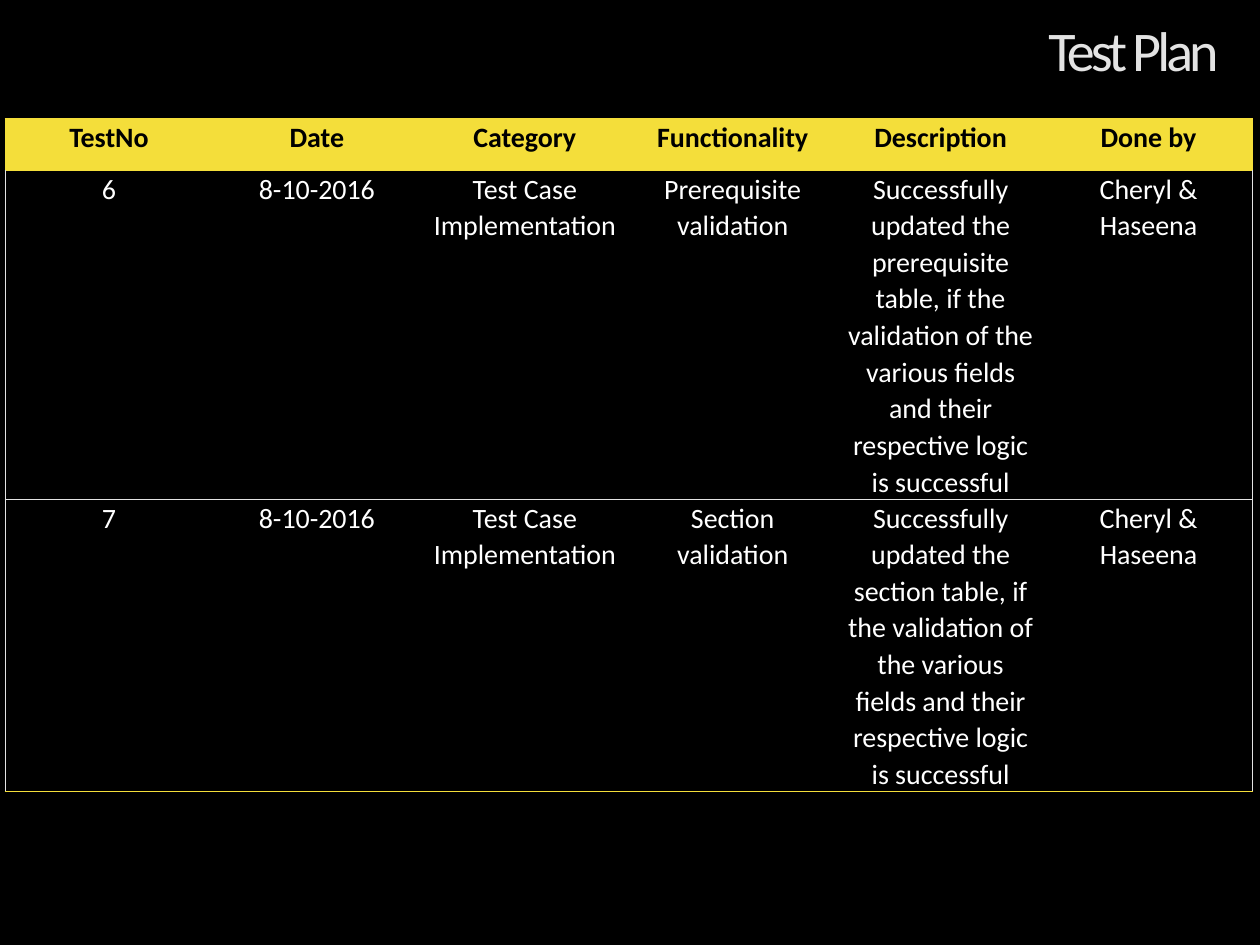
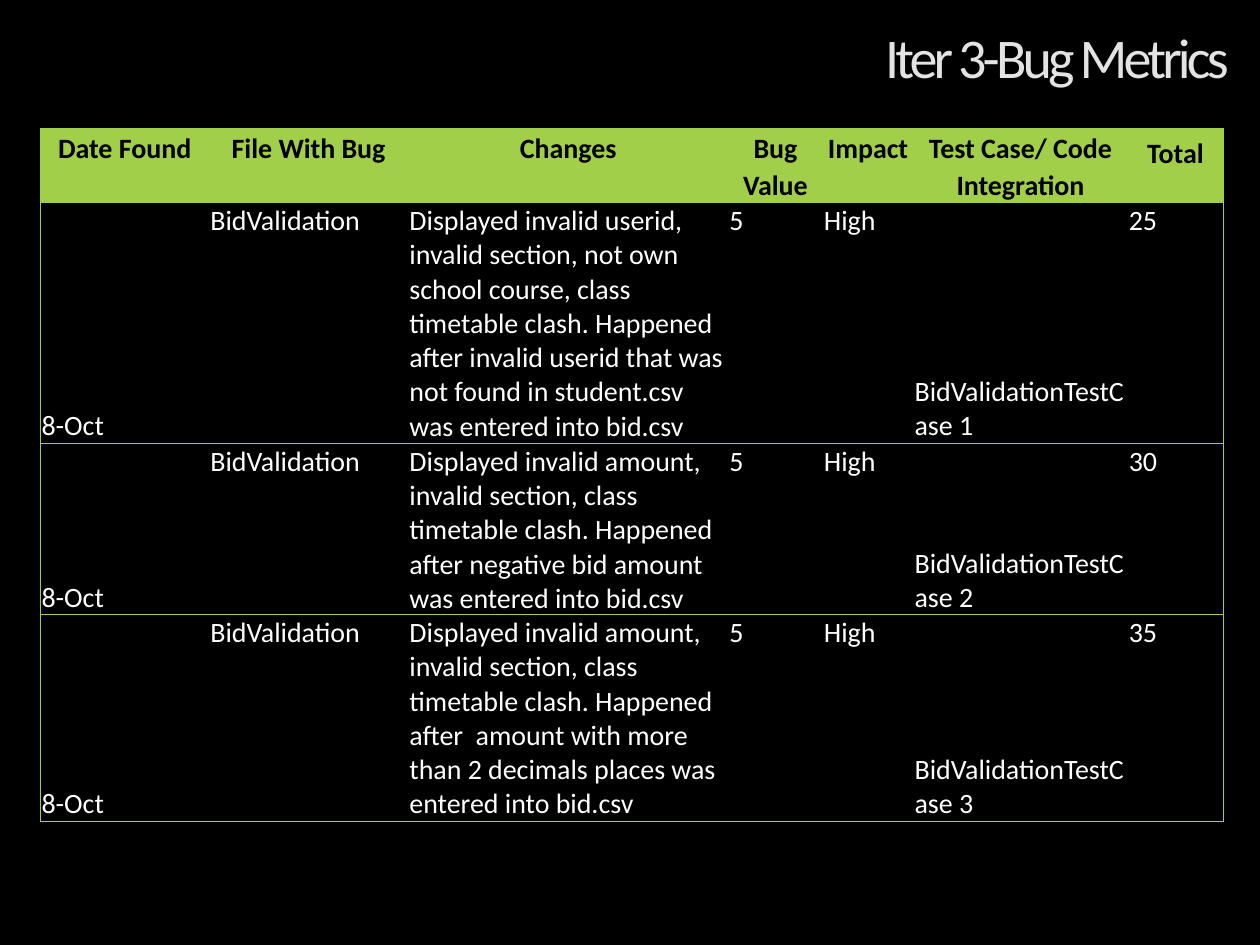
"""Builds the test plan and bug metrics slides."""
from dataclasses import dataclass

from lxml import etree
from pptx import Presentation
from pptx.dml.color import RGBColor
from pptx.enum import text
from pptx.oxml import ns
from pptx.util import Inches, Pt

BLACK = RGBColor(0x00, 0x00, 0x00)
WHITE = RGBColor(0xFF, 0xFF, 0xFF)
SILVER = RGBColor(0xE3, 0xE3, 0xE3)
YELLOW = RGBColor(0xF4, 0xDE, 0x3A)
GREEN = RGBColor(0xA2, 0xCF, 0x49)
FONT = "Calibri"
PLAIN_STYLE = "{2D5ABB26-0587-4C30-8999-92F81FD0307C}"
LEFT, CENTER, RIGHT = text.PP_ALIGN.LEFT, text.PP_ALIGN.CENTER, text.PP_ALIGN.RIGHT
TOP, BOTTOM = text.MSO_ANCHOR.TOP, text.MSO_ANCHOR.BOTTOM


@dataclass(frozen=True)
class Report:
    """One slide: a title above a ruled table."""
    title: str
    title_at: tuple[float, float]
    table_at: tuple[float, float]
    columns: list[float]
    heights: list[float]
    rows: list[tuple[str, ...]]
    accent: RGBColor
    rule: RGBColor
    insets: tuple[float, float, float, float]
    body_align: text.PP_ALIGN
    body_spacing: float
    bottom_columns: tuple[int, ...] = ()
    roomy_header: int | None = None


def successful(subject: str) -> str:
    """Describe a successful validation of one table."""
    return (f"Successfully updated the {subject} table, if the validation of the "
            "various fields and their respective logic is successful")


def test_row(number: int, subject: str) -> tuple[str, ...]:
    """Give one line of the test plan."""
    return (str(number), "8-10-2016", "Test Case Implementation",
            f"{subject} validation", successful(subject.lower()), "Cheryl & Haseena")


def bug_row(case: int, changes: str, total: int) -> tuple[str, ...]:
    """Give one line of the bug metrics."""
    return ("8-Oct", "BidValidation", f"Displayed invalid {changes} was entered into bid.csv",
            "5", "High", f"BidValidationTestCase {case}", str(total))


REPORTS = [
    Report(
        title="Test Plan", title_at=(1.15, -0.3), table_at=(0.04, 0.94),
        columns=[1.65] * 6, heights=[0.41, 2.61, 2.32],
        rows=[
            ("TestNo", "Date", "Category", "Functionality", "Description", "Done by"),
            test_row(6, "Prerequisite"),
            test_row(7, "Section"),
        ],
        accent=YELLOW, rule=SILVER, insets=(0.07, 0, 0.07, 0),
        body_align=CENTER, body_spacing=1.07,
    ),
    Report(
        title="Iter 3-Bug Metrics", title_at=(1.23, -0.25), table_at=(0.32, 1.02),
        columns=[1.34, 1.58, 2.54, 0.75, 0.72, 1.7, 0.76],
        heights=[0.59, 1.91, 1.36, 1.64],
        rows=[
            ("Date Found", "File With Bug", "Changes", "Bug Value", "Impact",
             "Test Case/ Code Integration", "Total"),
            bug_row(1, "userid, invalid section, not own school course, class timetable "
                       "clash. Happened after invalid userid that was not found in "
                       "student.csv", 25),
            bug_row(2, "amount, invalid section, class timetable clash. Happened after "
                       "negative bid amount", 30),
            bug_row(3, "amount, invalid section, class timetable clash. Happened after  "
                       "amount with more than 2 decimals places", 35),
        ],
        accent=GREEN, rule=GREEN, insets=(0.01, 0.01, 0.01, 0),
        body_align=LEFT, body_spacing=1.0, bottom_columns=(0, 2, 5), roomy_header=6,
    ),
]


def write(frame, words: str, size: float, color: RGBColor, align, spacing: float,
          bold: bool = False):
    """Write one paragraph with a single run and return the run."""
    paragraph = frame.paragraphs[0]
    paragraph.alignment = align
    paragraph.line_spacing = spacing
    run = paragraph.add_run()
    run.text = words
    run.font.name, run.font.size, run.font.bold = FONT, Pt(size), bold
    run.font.color.rgb = color
    return run


def add_title(slide, report: Report) -> None:
    """Add the right-aligned, tightly spaced title."""
    left, top = report.title_at
    frame = slide.shapes.add_textbox(
        Inches(left), Inches(top), Inches(8.62), Inches(1.45)).text_frame
    frame.word_wrap = True
    frame.vertical_anchor = text.MSO_ANCHOR.MIDDLE
    run = write(frame, report.title, 32, SILVER, RIGHT, 0.9)
    run.font._element.set("spc", "-220")


def add_border(cell, side: str, color: RGBColor) -> None:
    """Rule one side of a cell."""
    properties = cell._tc.get_or_add_tcPr()
    line = etree.SubElement(properties, ns.qn(f"a:ln{side}"), w=str(Pt(0.5)))
    fill = etree.SubElement(line, ns.qn("a:solidFill"))
    etree.SubElement(fill, ns.qn("a:srgbClr"), val=str(color))


def rule_cell(cell, report: Report, row: int, column: int) -> None:
    """Rule the outer frame and the lines between rows."""
    last = len(report.rows) - 1
    side_color = report.rule if row else report.accent
    if column == 0:
        add_border(cell, "L", side_color)
    if column == len(report.columns) - 1:
        add_border(cell, "R", side_color)
    add_border(cell, "T", report.accent if row <= 1 else report.rule)
    add_border(cell, "B", report.accent if row in (0, last) else report.rule)


def fill_cell(cell, report: Report, row: int, column: int) -> None:
    """Style one cell and write its words."""
    header = row == 0
    if not (header and column == report.roomy_header):
        (cell.margin_left, cell.margin_top,
         cell.margin_right, cell.margin_bottom) = map(Inches, report.insets)
    sunk = not header and column in report.bottom_columns
    cell.vertical_anchor = BOTTOM if sunk else TOP
    rule_cell(cell, report, row, column)
    if header:
        cell.fill.solid()
        cell.fill.fore_color.rgb = report.accent
    else:
        cell.fill.background()
    write(cell.text_frame, report.rows[row][column], 16,
          BLACK if header else WHITE,
          CENTER if header else report.body_align,
          1.07 if header else report.body_spacing, header)


def add_report_table(slide, report: Report) -> None:
    """Add the table of a report."""
    left, top = report.table_at
    table = slide.shapes.add_table(
        len(report.rows), len(report.columns), Inches(left), Inches(top),
        Inches(sum(report.columns)), Inches(sum(report.heights))).table
    table.horz_banding = False
    table._tbl.tblPr.find(ns.qn("a:tableStyleId")).text = PLAIN_STYLE
    for column, width in zip(table.columns, report.columns):
        column.width = Inches(width)
    for row, height in enumerate(report.heights):
        table.rows[row].height = Inches(height)
        for column in range(len(report.columns)):
            fill_cell(table.cell(row, column), report, row, column)


def main() -> None:
    """Build and save the presentation."""
    deck = Presentation()
    deck.slide_width, deck.slide_height = Inches(10), Inches(7.5)
    for report in REPORTS:
        slide = deck.slides.add_slide(deck.slide_layouts[6])
        slide.background.fill.solid()
        slide.background.fill.fore_color.rgb = BLACK
        add_title(slide, report)
        add_report_table(slide, report)
    deck.save("out.pptx")


if __name__ == "__main__":
    main()
